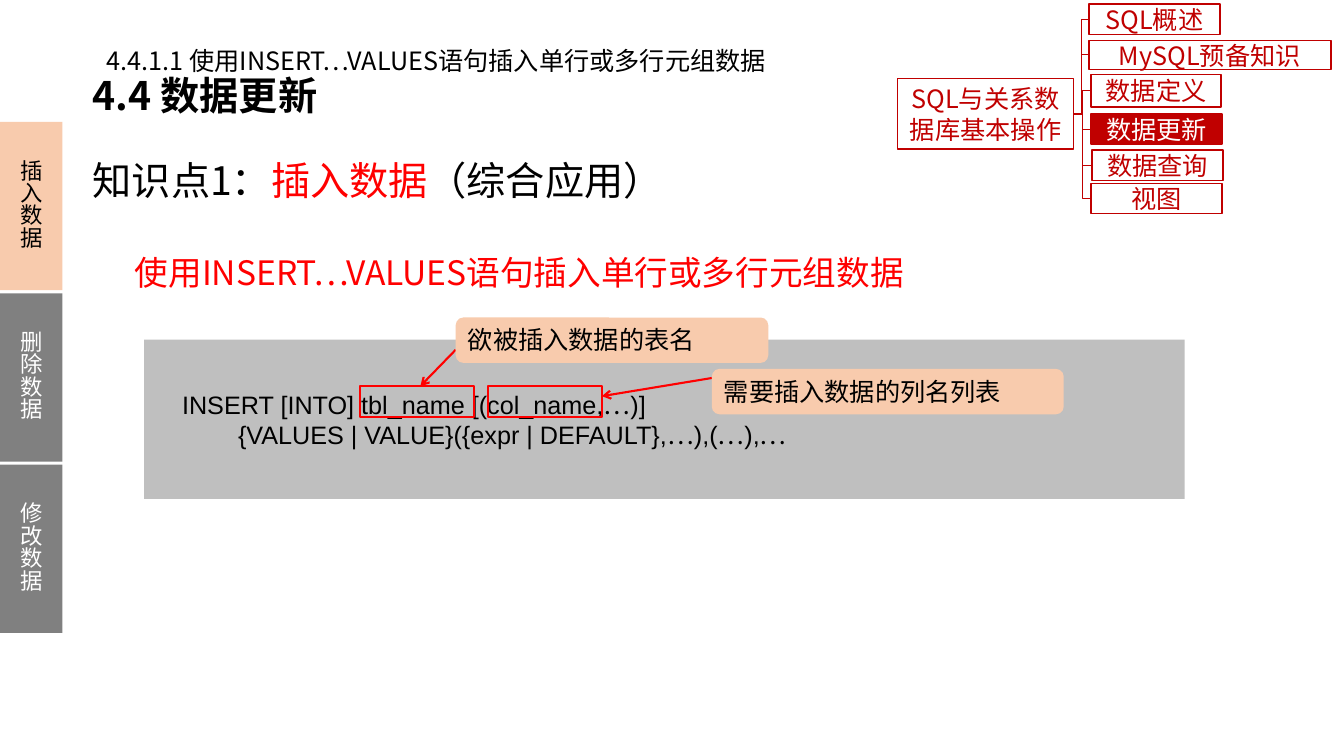
from itertools import groupby

from lxml import etree
from pptx import Presentation
from pptx import util as u
from pptx.dml.color import RGBColor
from pptx.enum import shapes, text
from pptx.oxml.ns import qn

PX = 9144  # 100 px to the inch
SC, JP = "Noto Sans CJK SC", "Noto Sans CJK JP"
BLACK, WHITE, RED, DARK_RED = "000000", "FFFFFF", "FF0000", "C00000"
PEACH, GREY, SILVER = "F8CBAD", "808080", "BFBFBF"
RECT, ROUND = shapes.MSO_SHAPE.RECTANGLE, shapes.MSO_SHAPE.ROUNDED_RECTANGLE
TOP, MIDDLE = text.MSO_ANCHOR.TOP, text.MSO_ANCHOR.MIDDLE
LEFT, CENTER = text.PP_ALIGN.LEFT, text.PP_ALIGN.CENTER


def write(sp, paragraphs, size, anchor=TOP, align=LEFT, spacing=None, bold=False, inset=(10, 5)):
    """Fill a shape with paragraphs, each a list of (text, font, colour) runs."""
    tf = sp.text_frame
    frame = dict(word_wrap=True, auto_size=text.MSO_AUTO_SIZE.NONE, vertical_anchor=anchor,
                 margin_left=inset[0] * PX, margin_right=inset[0] * PX,
                 margin_top=inset[1] * PX, margin_bottom=inset[1] * PX)
    for name, value in frame.items():
        setattr(tf, name, value)
    for i, runs in enumerate(paragraphs):
        p = tf.add_paragraph() if i else tf.paragraphs[0]
        p.alignment, p.line_spacing = align, spacing
        for words, font, colour in runs:
            r = p.add_run()
            r.text = words
            for name, value in dict(size=u.Pt(size), bold=bold, name=font).items():
                setattr(r.font, name, value)
            r.font.color.rgb = RGBColor.from_string(colour)
            etree.SubElement(r.font._element, qn("a:ea"), typeface=font)


def box(kind, place, fill=None, line=None, width=1):
    sp = s.shapes.add_shape(kind, *(v * PX for v in place))
    sp.shadow.inherit = False
    for part, colour in ((sp.fill, fill), (sp.line.fill, line)):
        if colour:
            part.solid()
            part.fore_color.rgb = RGBColor.from_string(colour)
        else:
            part.background()
    if line:
        sp.line.width = u.Pt(width)
    return sp


prs = Presentation()
prs.slide_width, prs.slide_height = 1333 * PX, 750 * PX
s = prs.slides.add_slide(prs.slide_layouts[5])

# Title
title = s.shapes.title
for name, value in dict(left=80, top=65, width=965, height=59).items():
    setattr(title, name, value * PX)
write(title, [[("4.4 数据更新", SC, BLACK)]], 28, bold=True, inset=(12, 6))

# Headings
topic = [("知识点1：", SC, BLACK), ("插入数据", SC, RED), ("（综合应用）", SC, BLACK)]
statement = "使用INSERT…VALUES语句插入单行或多行元组数据"
headings = [
    ((80, 115, 1216, 104), topic, 28, dict(anchor=MIDDLE, spacing=1.5, inset=(12, 6))),
    ((124, 234, 1094, 62), [(statement, JP, RED)], 24, dict(spacing=u.Pt(37))),
    ((96, 19, 742, 55), [("4.4.1.1 " + statement, SC, BLACK)], 18, dict(spacing=u.Pt(37))),
]
for place, runs, size, layout in headings:
    write(s.shapes.add_textbox(*(v * PX for v in place)), [runs], size, **layout)

# Syntax panel, with the ellipses in the CJK font
syntax = ["    INSERT [INTO] tbl_name [(col_name,…)]",
          "            {VALUES | VALUE}({expr | DEFAULT},…),(…),…"]
code = [[("".join(chars), JP if dots else "Arial", BLACK)
         for dots, chars in groupby(row, lambda c: c == "…")] for row in syntax]
write(box(RECT, (143, 337, 1032, 158), SILVER), code, 18, anchor=MIDDLE)

# Side tabs
tabs = [("插入数据", PEACH, BLACK), ("删除数据", GREY, WHITE), ("修改数据", GREY, WHITE)]
for i, (label, fill, colour) in enumerate(tabs):
    tab = box(RECT, (0, 121 + 170 * i, 62, 167), fill)
    write(tab, [[(label, SC, colour)]], 16, MIDDLE, CENTER, u.Pt(16))

# Callouts: framed word, arrow and label
callouts = [
    ("欲被插入数据的表名", (452, 315, 310, 45), 357, (452, 347, 417, 383)),
    ("需要插入数据的列名列表", (706, 366, 349, 45), 484, (706, 375, 597, 393)),
]
connectors = []
for label, place, frame_x, ends in callouts:
    box(RECT, (frame_x, 383, 113, 31), line=RED, width=1.5)
    arrow = s.shapes.add_connector(shapes.MSO_CONNECTOR.STRAIGHT, *(v * PX for v in ends))
    connectors.append((arrow, RED, 1.5))
    write(box(ROUND, place, PEACH), [[(label, JP, BLACK)]], 18)

# Chapter map: root, branches and the current section filled
root = box(RECT, (890, 78, 175, 70), WHITE, DARK_RED)
write(root, [[("SQL与关系数据库基本操作", SC, DARK_RED)]], 18, MIDDLE, CENTER)
sections = [
    ("SQL概述", 1080, 4, 130, 30),
    ("MySQL预备知识", 1080, 40, 240, 29),
    ("数据定义", 1082, 74, 129, 32),
    ("数据更新", 1082, 113, 130, 30),
    ("数据查询", 1083, 149, 130, 30),
    ("视图", 1082, 182, 130, 30),
]
for label, x, y, w, h in sections:
    fill, colour = (DARK_RED, WHITE) if label == "数据更新" else (WHITE, DARK_RED)
    branch = s.shapes.add_connector(shapes.MSO_CONNECTOR.ELBOW, 1065 * PX, 113 * PX,
                                    x * PX, (y + h // 2) * PX)
    connectors.append((branch, DARK_RED, 0.5))
    write(box(RECT, (x, y, w, h), fill, DARK_RED), [[(label, SC, colour)]], 18, MIDDLE, CENTER)

# Connector lines; the red ones carry arrowheads
for line, colour, width in connectors:
    line.line.color.rgb = RGBColor.from_string(colour)
    line.line.width = u.Pt(width)
    if colour == RED:
        etree.SubElement(line.line._get_or_add_ln(), qn("a:tailEnd"), type="arrow")
    etree.SubElement(line._element.spPr, qn("a:effectLst"))

prs.save("out.pptx")
